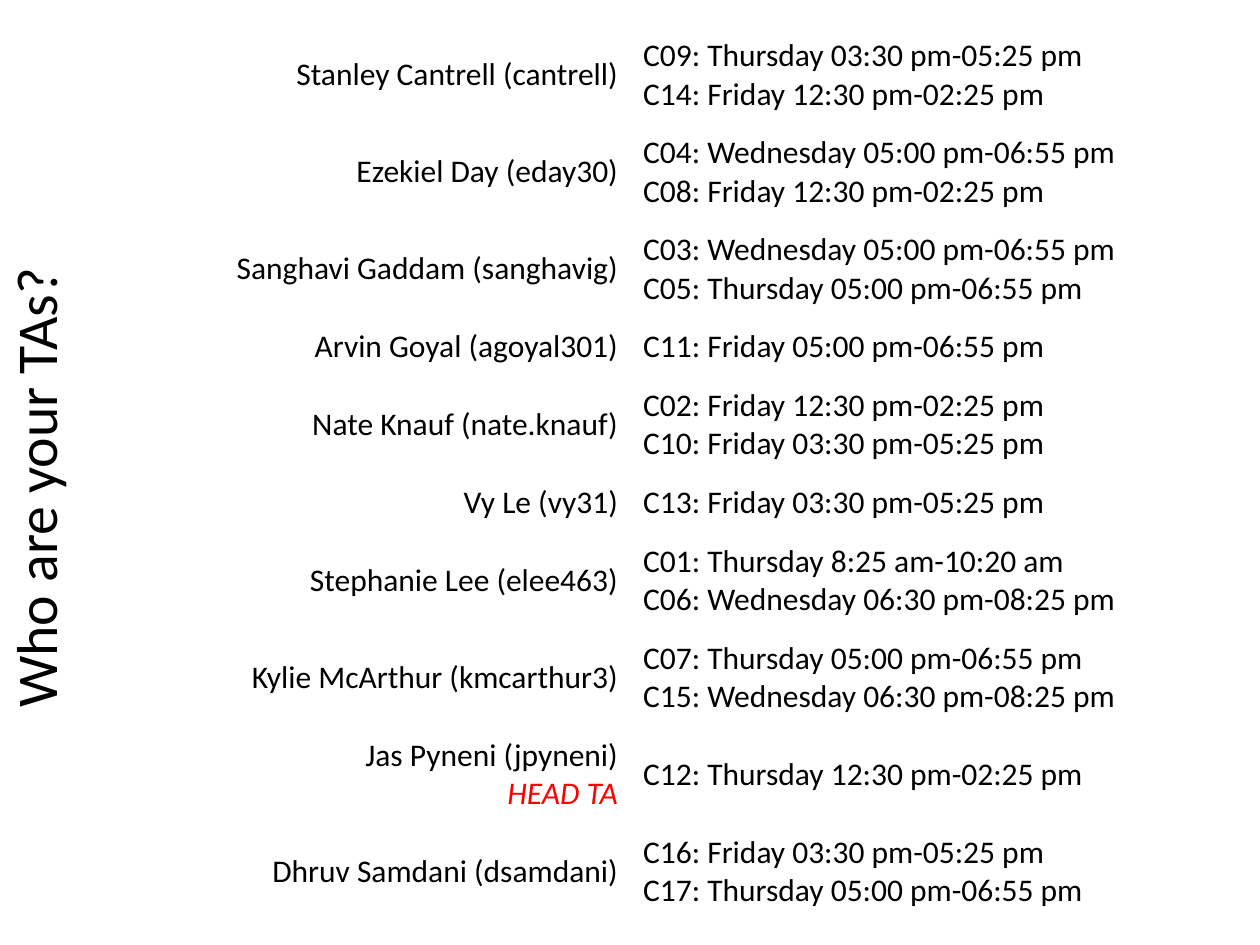
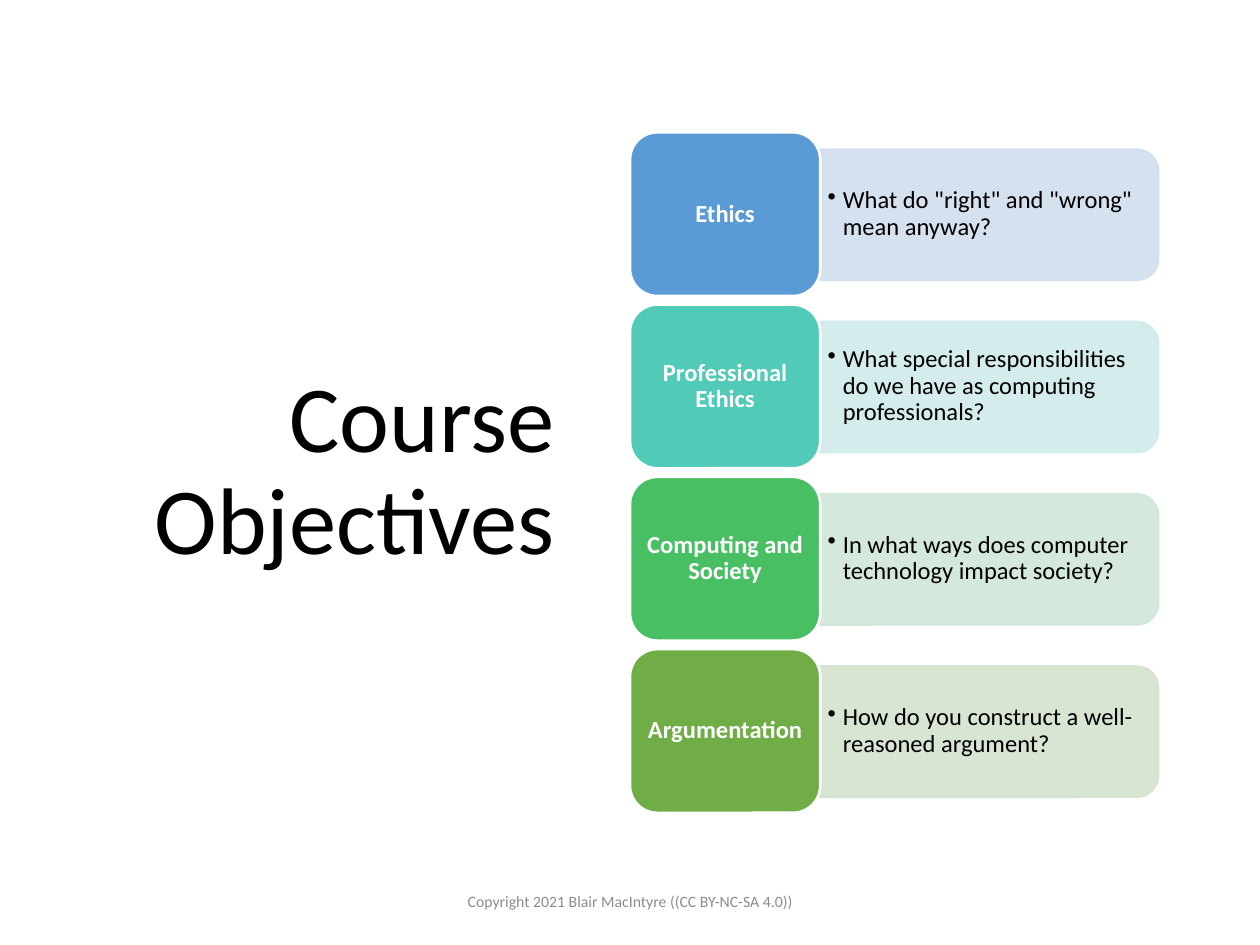
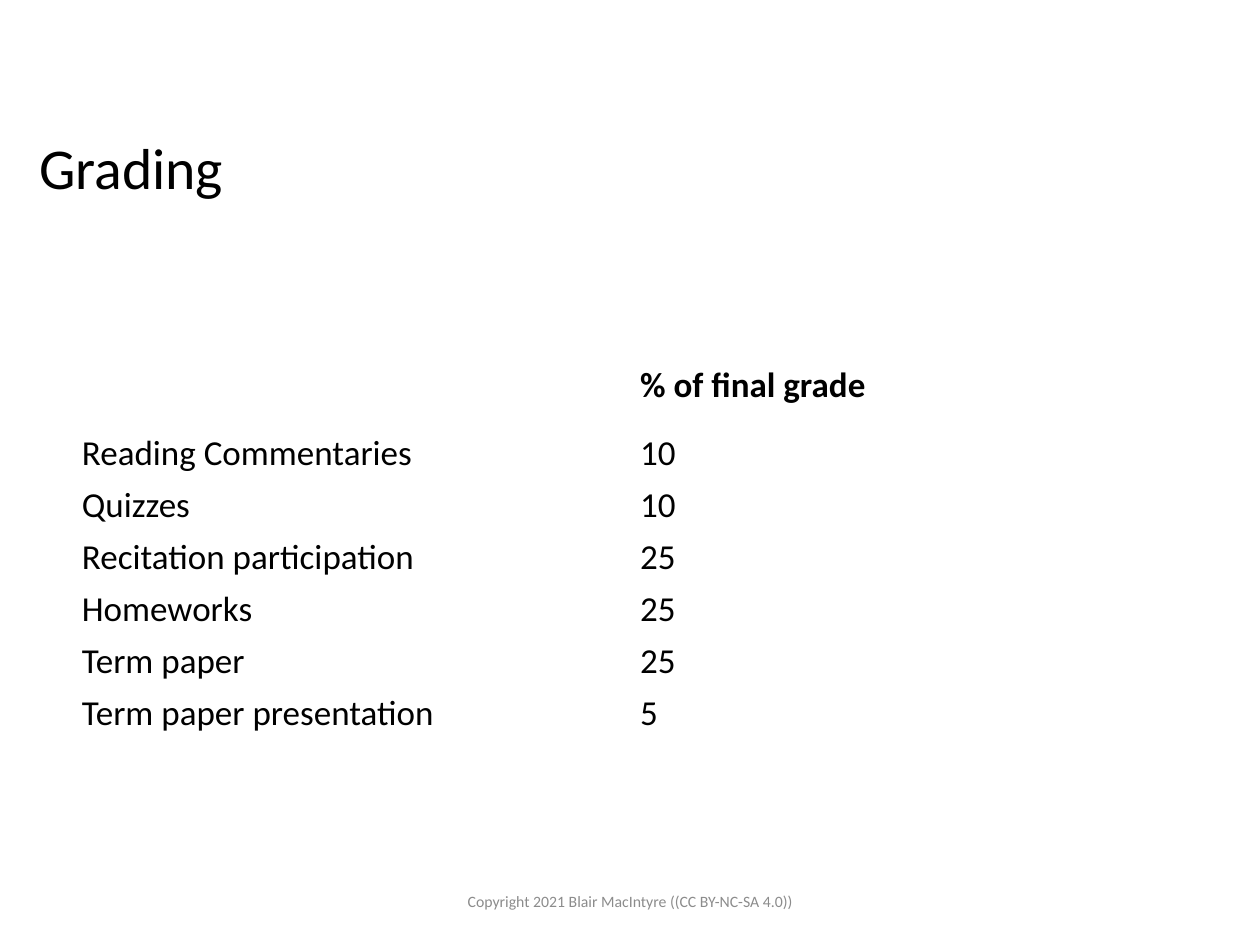
"""Build the course introduction: teaching assistants, objectives and grading."""
from lxml.etree import SubElement
from pptx import Presentation
from pptx.dml.color import RGBColor
from pptx.enum.shapes import MSO_SHAPE
from pptx.enum.text import MSO_ANCHOR, PP_ALIGN
from pptx.oxml.ns import qn
from pptx.util import Inches, Pt

WIDTH, HEIGHT = Inches(10), Inches(7.5)
COLORS = {"ink": "000000", "paper": "FFFFFF", "alert": "FF0000", "muted": "8C8C8C"}
FONT = "Calibri"
COPYRIGHT = "Copyright 2021 Blair MacIntyre ((CC BY-NC-SA 4.0))"

ASSISTANTS = [
    ("Stanley Cantrell (cantrell)", ["C09: Thursday 03:30 pm-05:25 pm", "C14: Friday 12:30 pm-02:25 pm"]),
    ("Ezekiel Day (eday30)", ["C04: Wednesday 05:00 pm-06:55 pm", "C08: Friday 12:30 pm-02:25 pm"]),
    ("Sanghavi Gaddam (sanghavig)", ["C03: Wednesday 05:00 pm-06:55 pm", "C05: Thursday 05:00 pm-06:55 pm"]),
    ("Arvin Goyal (agoyal301)", ["C11: Friday 05:00 pm-06:55 pm"]),
    ("Nate Knauf (nate.knauf)", ["C02: Friday 12:30 pm-02:25 pm", "C10: Friday 03:30 pm-05:25 pm"]),
    ("Vy Le (vy31)", ["C13: Friday 03:30 pm-05:25 pm"]),
    ("Stephanie Lee (elee463)", ["C01: Thursday 8:25 am-10:20 am", "C06: Wednesday 06:30 pm-08:25 pm"]),
    ("Kylie McArthur (kmcarthur3)", ["C07: Thursday 05:00 pm-06:55 pm", "C15: Wednesday 06:30 pm-08:25 pm"]),
    ("Jas Pyneni (jpyneni)\nHEAD TA", ["C12: Thursday 12:30 pm-02:25 pm"]),
    ("Dhruv Samdani (dsamdani)", ["C16: Friday 03:30 pm-05:25 pm", "C17: Thursday 05:00 pm-06:55 pm"]),
]
OBJECTIVES = [
    ("Ethics", 'What do "right" and "wrong" mean anyway?', "5B9BD5", "D2DEEF"),
    ("Professional Ethics", "What special responsibilities do we have as computing professionals?",
     "52CAB8", "D0ECEA"),
    ("Computing and Society", "In what ways does computer technology impact society?", "49BF64", "D0E7D8"),
    ("Argumentation", "How do you construct a well-reasoned argument?", "70AD47", "D5E3CF"),
]
GRADES = [
    ("", "% of final grade"),
    ("Reading Commentaries", "10"),
    ("Quizzes", "10"),
    ("Recitation participation", "25"),
    ("Homeworks", "25"),
    ("Term paper", "25"),
    ("Term paper presentation", "5"),
]


def area(left, top, width, height):
    """Turn percentages of the slide into left, top, width and height."""
    return (int(WIDTH * left / 100), int(HEIGHT * top / 100),
            int(WIDTH * width / 100), int(HEIGHT * height / 100))


def apply(target, values):
    """Set every attribute named in values on target."""
    for name, value in values.items():
        setattr(target, name, value)


def margins(left, top, right, bottom):
    """Name four margins in inches."""
    sides = ("left", "top", "right", "bottom")
    return {f"margin_{side}": Inches(gap) for side, gap in zip(sides, (left, top, right, bottom))}


def style(paragraph, size, color="ink", layout=None, **font):
    """Format a paragraph and the font of its runs."""
    apply(paragraph, layout or {})
    for run in paragraph.runs:
        apply(run.font, {"name": FONT, "size": Pt(size), **font})
        run.font.color.rgb = RGBColor.from_string(COLORS[color])


def write(frame, text, size, color="ink", layout=None, **font):
    """Write uniformly styled text into a frame."""
    frame.text = text
    for paragraph in frame.paragraphs:
        style(paragraph, size, color, layout, **font)


def add_text(slide, place, text, size, color="ink", layout=None, frame_format=None, rotation=0):
    """Add a wrapped text box, centred vertically unless told otherwise."""
    box = slide.shapes.add_textbox(*area(*place))
    box.rotation = rotation
    apply(box.text_frame, {"word_wrap": True, "vertical_anchor": MSO_ANCHOR.MIDDLE, **(frame_format or {})})
    write(box.text_frame, text, size, color, layout)
    return box


def add_footer(slide):
    """Add the shared copyright line."""
    add_text(slide, (33.1, 92.67, 33.8, 5.33), COPYRIGHT, 9, "muted", {"alignment": PP_ALIGN.CENTER})


def add_plain_table(slide, place, row_heights):
    """Add a two-column table without header or banding styles."""
    table = slide.shapes.add_table(len(row_heights), 2, *area(*place)).table
    apply(table, {"first_row": False, "horz_banding": False})
    for row, height in zip(table.rows, row_heights):
        row.height = Inches(height)
    return table


def fill_cell(cell, text, size, gaps, fill=None, layout=None, anchor=MSO_ANCHOR.MIDDLE, **font):
    """Write and format one table cell."""
    apply(cell, {"vertical_anchor": anchor, **margins(*gaps)})
    if fill:
        cell.fill.solid()
        cell.fill.fore_color.rgb = RGBColor.from_string(COLORS[fill])
    else:
        cell.fill.background()
    write(cell.text_frame, text, size, layout=layout, **font)


def add_block(slide, kind, place, color, edge, edge_width, rotation=0):
    """Add a filled, outlined preset shape."""
    block = slide.shapes.add_shape(kind, *area(*place))
    block.rotation = rotation
    block.shadow.inherit = False
    block.fill.solid()
    block.fill.fore_color.rgb = RGBColor.from_string(color)
    block.line.color.rgb = RGBColor.from_string(edge)
    block.line.width = Pt(edge_width)
    return block


def soften(block, percent):
    """Make the fill and line of a block partly opaque."""
    for color in block.element.spPr.iter(qn("a:srgbClr")):
        SubElement(color, qn("a:alpha"), val=str(percent * 1000))


def add_bullet(paragraph, indent):
    """Give a paragraph a hanging bullet."""
    properties = paragraph._p.get_or_add_pPr()
    properties.set("marL", str(Inches(indent)))
    properties.set("indent", str(-Inches(indent)))
    SubElement(properties, qn("a:buChar"), char="•")


def add_objective(slide, top, topic, question, color, tint):
    """Add one topic tile with its question bar."""
    snug = margins(0.06, 0.03, 0.06, 0.03)
    bar = add_block(slide, MSO_SHAPE.ROUND_2_SAME_RECTANGLE, (73.3, top - 9.2, 10.4, 35.87), tint, tint, 1, 90)
    soften(bar, 90)
    answer = add_text(slide, (65.1, top + 2.4, 26.3, 12.53), question, 14,
                      layout={"line_spacing": 0.9, "level": 1}, frame_format=snug)
    add_bullet(answer.text_frame.paragraphs[0], 0.12)
    tile = add_block(slide, MSO_SHAPE.ROUNDED_RECTANGLE, (50, top, 15.1, 17.33), color, COLORS["paper"], 1.5)
    apply(tile.text_frame, {"word_wrap": True, "vertical_anchor": MSO_ANCHOR.MIDDLE, **snug})
    write(tile.text_frame, topic, 14, "paper", {"line_spacing": 0.9, "alignment": PP_ALIGN.CENTER}, bold=True)


def build_assistants(slide):
    """List the assistants beside their sections."""
    heights = [0.73 if len(sections) > 1 or "\n" in name else 0.45 for name, sections in ASSISTANTS]
    table = add_plain_table(slide, (6.7, 2.8, 86.7, 94.4), heights)
    for row, (name, sections) in enumerate(ASSISTANTS):
        fill_cell(table.cell(row, 0), name, 18, (0.08, 0.08, 0.1, 0.08), "paper", {"alignment": PP_ALIGN.RIGHT})
        fill_cell(table.cell(row, 1), "\v".join(sections), 18, (0.1, 0.08, 0.08, 0.08), "paper")
        for role in table.cell(row, 0).text_frame.paragraphs[1:]:
            style(role, 18, "alert", italic=True)
    add_text(slide, (-43.8, 8.93, 93.8, 9.47), "Who are your TAs?", 33,
             layout={"line_spacing": 0.9}, rotation=270)


def build_objectives(slide):
    """Stack the four course objectives beside the title."""
    add_text(slide, (5.2, 29.47, 39.8, 41.07), "Course Objectives", 54,
             layout={"line_spacing": 0.9, "alignment": PP_ALIGN.RIGHT})
    for index, objective in enumerate(OBJECTIVES):
        add_objective(slide, 14 + index * 18.23, *objective)
    add_footer(slide)


def build_grading(slide):
    """Show the weight of each part of the grade."""
    add_text(slide, (3.1, 8.93, 93.8, 14.4), "Grading", 33,
             frame_format={"vertical_anchor": MSO_ANCHOR.TOP, **margins(0, 0.38, 0, 0)})
    table = add_plain_table(slide, (5.7, 38, 88.6, 40), [0.54] + [0.3] * (len(GRADES) - 1))
    for row, entries in enumerate(GRADES):
        for column, entry in enumerate(entries):
            fill_cell(table.cell(row, column), entry, 20, (0.08, 0.04, 0.08, 0.04),
                      anchor=MSO_ANCHOR.MIDDLE if row else MSO_ANCHOR.TOP, bold=row == 0)
    add_footer(slide)


def main():
    """Build and save the presentation."""
    deck = Presentation()
    apply(deck, {"slide_width": WIDTH, "slide_height": HEIGHT})
    for build in (build_assistants, build_objectives, build_grading):
        build(deck.slides.add_slide(deck.slide_layouts[6]))
    deck.save("out.pptx")


if __name__ == "__main__":
    main()
